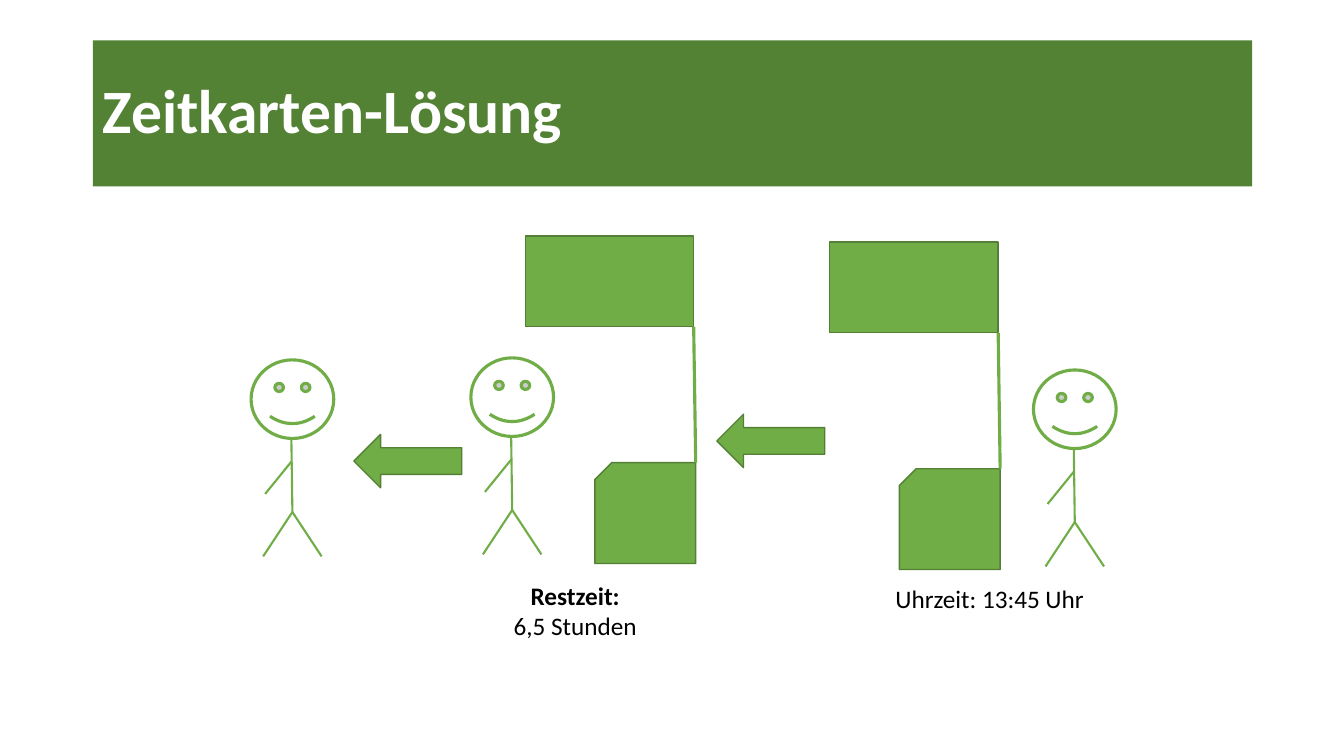
from pptx import Presentation
from pptx.dml.color import RGBColor
from pptx.enum.shapes import MSO_CONNECTOR, MSO_SHAPE
from pptx.enum.text import MSO_ANCHOR, MSO_AUTO_SIZE, PP_ALIGN
from pptx.oxml.ns import qn
from pptx.util import Pt

PX = 9144  # 100 px to the inch
FONT = "Calibri"
COLORS = {
    "banner": "548235",
    "green": "70AD47",
    "edge": "538035",
    "white": "FFFFFF",
    "black": "000000",
}


def color(name):
    return RGBColor.from_string(COLORS[name])


def emu(*lengths):
    return [n * PX for n in lengths]


def write(p, text, size=18, ink="black", bold=False, align=PP_ALIGN.CENTER):
    p.alignment = align
    r = p.add_run()
    r.text = text
    r.font.name = FONT
    r.font.size = Pt(size)
    r.font.bold = bold
    r.font.color.rgb = color(ink)


def add_solid(slide, kind, x, y, w, h, fill="green", edge="edge", weight=1):
    sp = slide.shapes.add_shape(kind, *emu(x, y, w, h))
    sp.shadow.inherit = False
    sp.fill.solid()
    sp.fill.fore_color.rgb = color(fill)
    sp.line.color.rgb = color(edge)
    sp.line.width = Pt(weight)
    return sp


def add_stroke(slide, x1, y1, x2, y2, weight=1.5):
    line = slide.shapes.add_connector(MSO_CONNECTOR.STRAIGHT, *emu(x1, y1, x2, y2))
    line.line.color.rgb = color("green")
    line.line.width = Pt(weight)
    sp_pr = line._element.spPr
    sp_pr.append(sp_pr.makeelement(qn("a:effectLst"), {}))


def add_title(slide, text, x, y, w, h):
    sp = slide.shapes.title
    sp.left, sp.top, sp.width, sp.height = emu(x, y, w, h)
    sp.fill.solid()
    sp.fill.fore_color.rgb = color("banner")
    tf = sp.text_frame
    tf.vertical_anchor = MSO_ANCHOR.MIDDLE
    p = tf.paragraphs[0]
    p.line_spacing = 0.9
    write(p, text, size=44, ink="white", bold=True, align=PP_ALIGN.LEFT)


def add_person(slide, x, y):
    """Stick figure with the head's top left corner at x, y."""
    add_solid(slide, MSO_SHAPE.SMILEY_FACE, x, y, 82, 78,
              fill="white", edge="green", weight=2.25)
    limbs = [
        (40, 78, 41, 151),   # body
        (41, 151, 12, 195),  # left leg
        (41, 151, 70, 195),  # right leg
        (40, 101, 14, 133),  # arm
    ]
    for x1, y1, x2, y2 in limbs:
        add_stroke(slide, x + x1, y + y1, x + x2, y + y2)


def add_terminal(slide, x, y):
    """Display, pole and base with the display's top left corner at x, y."""
    base = add_solid(slide, MSO_SHAPE.SNIP_1_RECTANGLE, x + 69, y + 225, 100, 100)
    base.rotation = 270
    add_solid(slide, MSO_SHAPE.RECTANGLE, x, y, 167, 90)
    add_stroke(slide, x + 167, y + 90, x + 169, y + 225, weight=2.25)


def add_caption(slide, lines, x, y, w, h):
    """Centred label; each line is a text and whether it is bold."""
    tf = slide.shapes.add_textbox(*emu(x, y, w, h)).text_frame
    tf.word_wrap = True
    tf.auto_size = MSO_AUTO_SIZE.SHAPE_TO_FIT_TEXT
    for i, (text, bold) in enumerate(lines):
        p = tf.add_paragraph() if i else tf.paragraphs[0]
        write(p, text, bold=bold)


def main():
    prs = Presentation()
    prs.slide_width, prs.slide_height = emu(1333, 750)
    slide = prs.slides.add_slide(prs.slide_layouts[5])

    add_title(slide, "Zeitkarten-Lösung", 92, 40, 1150, 145)

    # Time terminals
    for x, y in [(823, 240), (521, 234)]:
        add_terminal(slide, x, y)

    # People, from right to left
    for x, y in [(1025, 367), (467, 355), (249, 357)]:
        add_person(slide, x, y)

    # Arrows between the steps
    for x, y in [(711, 411), (351, 431)]:
        add_solid(slide, MSO_SHAPE.LEFT_ARROW, x, y, 107, 53)

    # Captions
    add_caption(slide, [("Uhrzeit: 13:45 Uhr", False)], 864, 574, 235, 40)
    add_caption(slide, [("Restzeit:", True), ("6,5 Stunden", False)],
                453, 571, 235, 71)

    prs.save("out.pptx")


if __name__ == "__main__":
    main()
